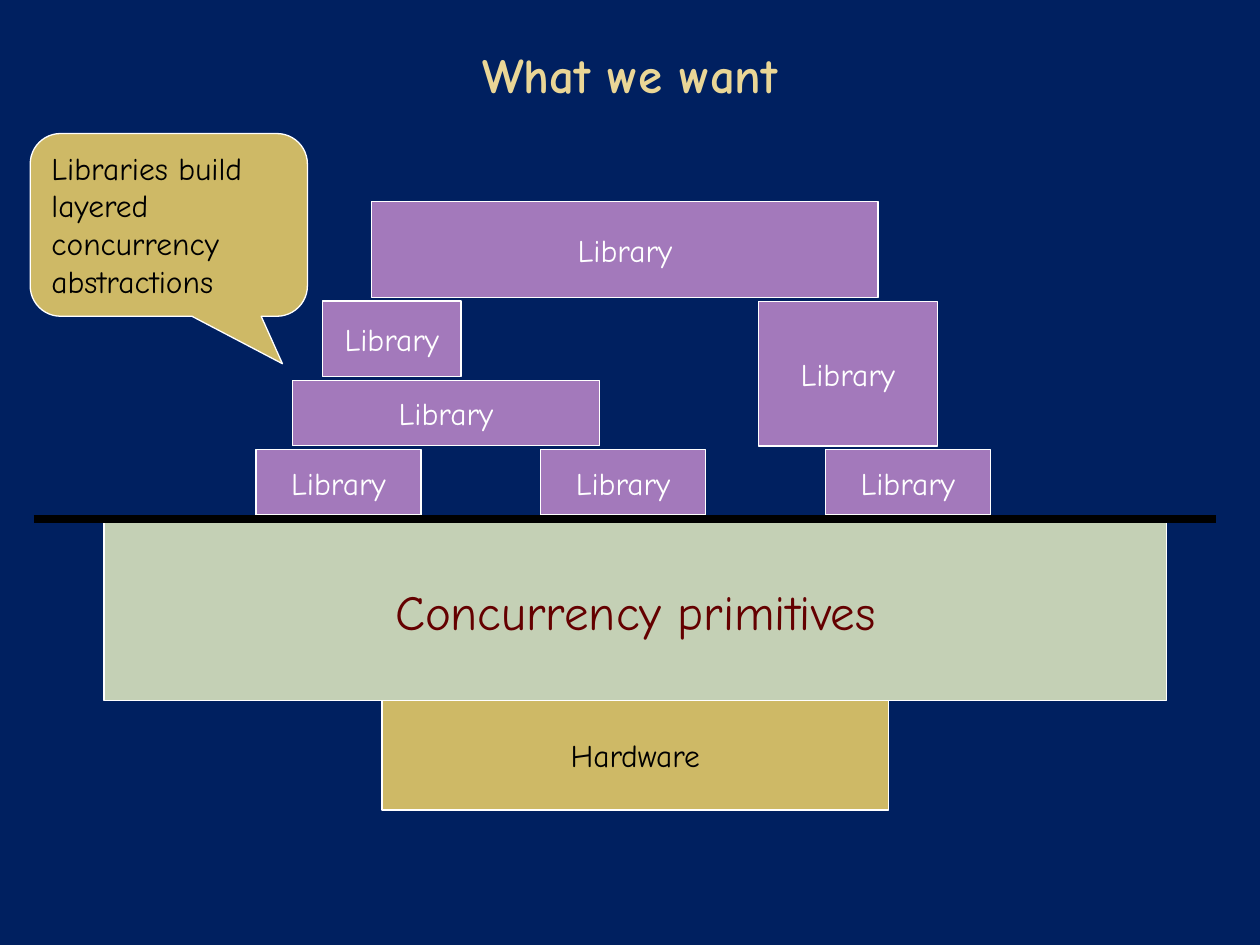
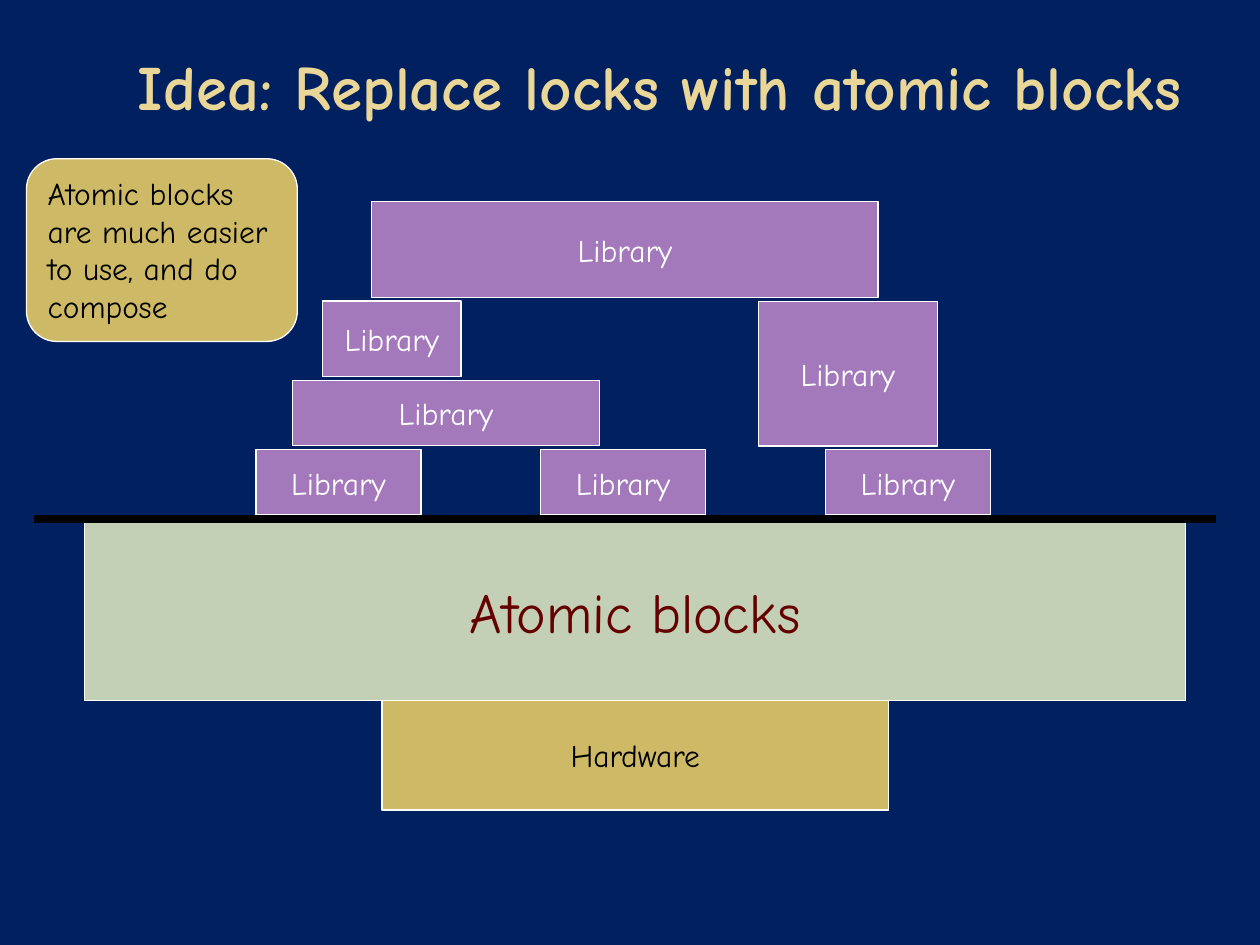
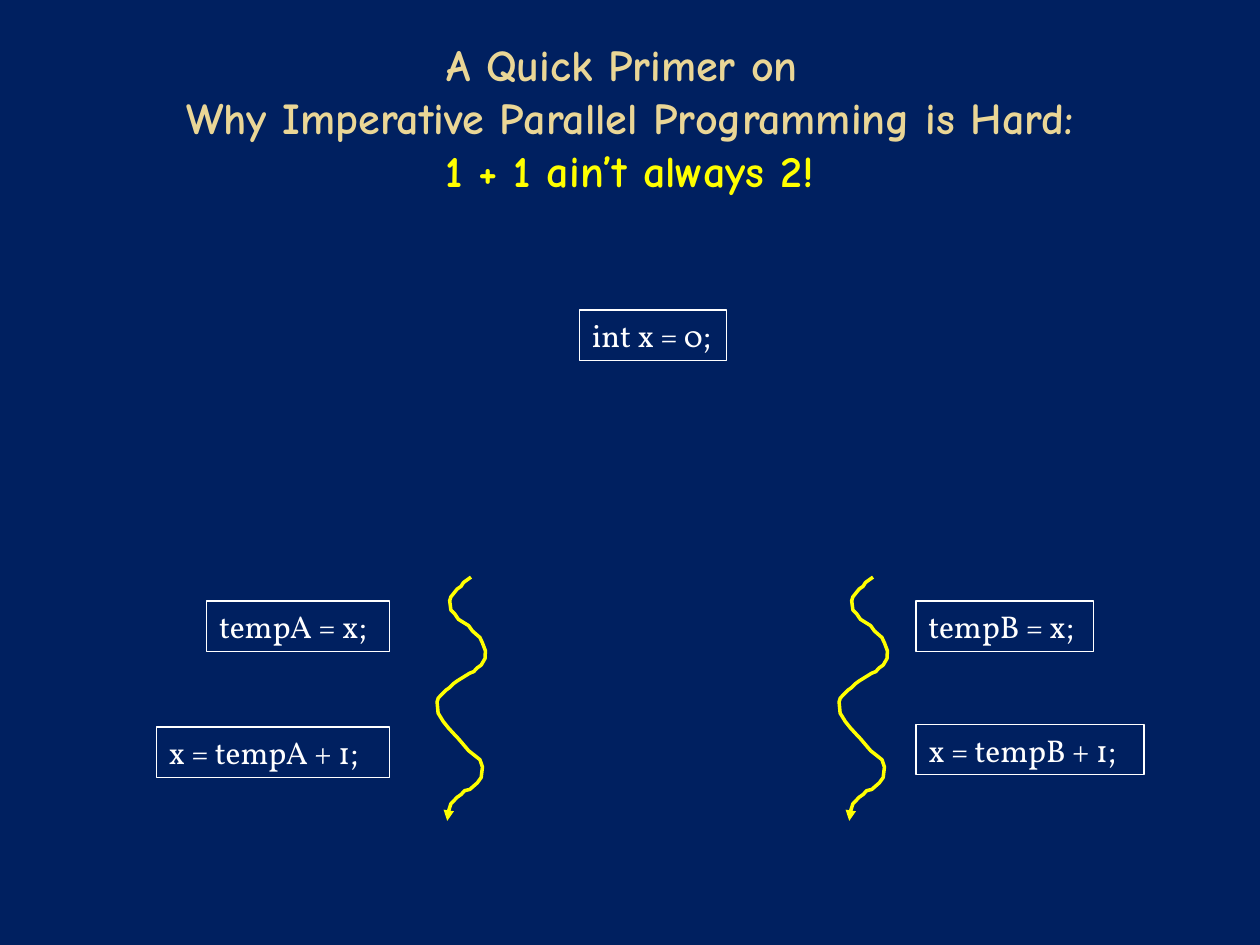
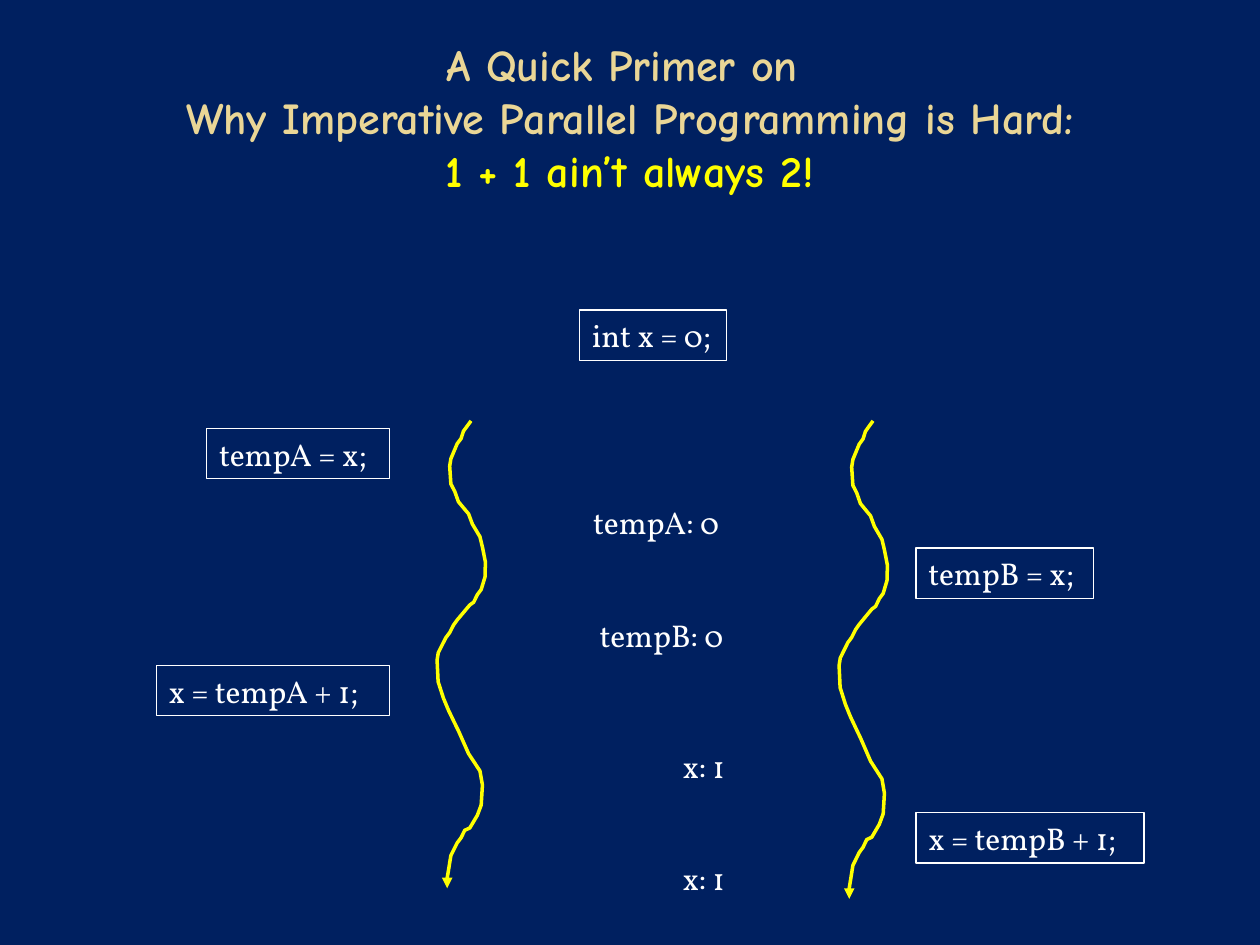
from lxml import etree
from pptx import Presentation
from pptx.dml.color import RGBColor
from pptx.enum.shapes import MSO_CONNECTOR, MSO_SHAPE
from pptx.enum.text import MSO_ANCHOR, PP_ALIGN
from pptx.oxml.ns import qn
from pptx.util import Pt

RECTANGLE = MSO_SHAPE.RECTANGLE
CALLOUT = MSO_SHAPE.ROUNDED_RECTANGULAR_CALLOUT
STRAIGHT = MSO_CONNECTOR.STRAIGHT
TOP, MIDDLE = MSO_ANCHOR.TOP, MSO_ANCHOR.MIDDLE
LEFT, CENTER = PP_ALIGN.LEFT, PP_ALIGN.CENTER

NAVY, CREAM, YELLOW = "002060", "EAD696", "FFFF00"
GOLD, SAGE, PURPLE, MAROON = "CEB966", "C4D0B5", "A379BB", "640000"
WHITE, BLACK = "FFFFFF", "000000"
DISPLAY_FONT, CODE_FONT = "Comic Neue", "Vollkorn"

# Boxes are (left, top, width, height) in points.
TITLE_BOX = (36, 21.6, 648, 90)

STACK_SLIDES = [
    {"title": "What we want", "title_box": TITLE_BOX, "title_size": 28,
     "base": "Concurrency primitives", "base_width": 607, "base_size": 28,
     "callout": "Libraries build layered concurrency abstractions",
     "callout_box": (17.3, 76.3, 158.4, 104.4), "tip": (0.41, 0.76)},
    {"title": "Idea: Replace locks with atomic blocks",
     "title_box": (45.4, 23.8, 663.1, 42.5), "title_size": 36,
     "base": "Atomic blocks", "base_width": 629.3, "base_size": 32,
     "callout": "Atomic blocks are much easier to use, and do compose",
     "callout_box": (15.1, 90.7, 154.8, 104.4), "tip": (0.25, 0.5)},
]
STACK_CENTER = 363
BASE_TOP, BASE_HEIGHT = 298.1, 102.2
HARDWARE_WIDTH, HARDWARE_HEIGHT = 289.4, 62.6
GROUND_LEFT, GROUND_RIGHT, GROUND_TOP = 19.4, 694.8, 296.6
LIBRARY_BOXES = [(146.2 + 162.7 * column, 257, 94.3, 37.4) for column in range(3)] + [
    (167, 217.4, 175.7, 37.4),
    (184.3, 172.1, 79.2, 43.2),
    (433.4, 172.1, 102.2, 82.8),
    (212.4, 115.2, 289.4, 54.7),
]

PRIMER_TITLE = [
    ("A Quick Primer on ", CREAM),
    ("Why Imperative Parallel Programming is Hard:", CREAM),
    ("1 + 1 ain’t always 2!", YELLOW),
]
# Statement: (left, width)
STATEMENTS = {
    "int x = 0;": (331.2, 84.2),
    "tempA = x;": (118.1, 104.4),
    "x = tempA + 1;": (89.3, 133.2),
    "tempB = x;": (523.4, 101.5),
    "x = tempB + 1;": (523.4, 130.3),
}
STATEMENT_HEIGHT = 28.8
THREAD_LEFTS = (249.8, 479.5)
PRIMER_SLIDES = [
    {"statement_tops": (177.1, 343.4, 415.4, 343.4, 414),
     "thread_top": 329.8, "thread_heights": (139.3, 139.3), "values": []},
    {"statement_tops": (177.1, 244.8, 380.2, 313.2, 464.4),
     "thread_top": 240.5, "thread_heights": (267.1, 273.2),
     "values": [("tempA: 0", 331.9, 283.7), ("tempB: 0", 335.5, 348.5),
                ("x: 1", 383, 423.4), ("x: 1", 383, 487.4)]},
]
# Wavy thread outline: (points from the left, percent of the height)
THREAD_WAVE = [
    (19.4, 0), (15.1, 2.2), (13.7, 3.8), (11.5, 4.9), (7.9, 8.1), (7.2, 9.7),
    (7.9, 13.5), (10.1, 15.1), (12.2, 17.3), (14.4, 18.3), (18, 19.9),
    (20.2, 22.1), (24.5, 24.8), (25.9, 27), (27.6, 30.2), (27.4, 33.4),
    (25.2, 36.1), (23, 37.2), (20.9, 38.8), (18.7, 39.4), (11.5, 42.6),
    (9.4, 43.7), (7.2, 45.3), (5, 46.4), (0.7, 49.6), (0, 51.2), (0.6, 55.8),
    (3.6, 59.3), (6.5, 61.9), (10.1, 64.7), (12.2, 66.3), (18, 71.2),
    (24.5, 74.9), (25.9, 77.9), (25.2, 82.2), (23, 84.4), (18.7, 87.1),
    (15.8, 87.6), (13.7, 89.2), (11.5, 90.3), (7.9, 93), (6.5, 96.2),
    (5.8, 97.8), (5.8, 100),
]


def color(value):
    return RGBColor.from_string(value)


def points(values):
    return [Pt(value) for value in values]


def write(shape, lines, size=18, font=DISPLAY_FONT, bold=False, align=CENTER,
          anchor=MIDDLE, right_inset=7.2):
    """Fill the shape with (text, colour) lines inside one paragraph."""
    frame = shape.text_frame
    frame.word_wrap = True
    frame.vertical_anchor = anchor
    frame.margin_right = Pt(right_inset)
    paragraph = frame.paragraphs[0]
    paragraph.alignment = align
    for index, (text, text_color) in enumerate(lines):
        if index:
            paragraph.add_line_break()
        run = paragraph.add_run()
        run.text = text
        run.font.name = font
        run.font.size = Pt(size)
        run.font.bold = bold
        run.font.color.rgb = color(text_color)
    # Line breaks take the size of the text around them
    for line_break in paragraph._p.findall(qn("a:br")):
        etree.SubElement(line_break, qn("a:rPr"), sz=str(round(size * 100)))


def add_box(slide, box, fill=None, kind=RECTANGLE):
    shape = slide.shapes.add_shape(kind, *points(box))
    shape.shadow.inherit = False
    if fill:
        shape.fill.solid()
        shape.fill.fore_color.rgb = color(fill)
    else:
        shape.fill.background()
    shape.line.color.rgb = color(WHITE)
    shape.line.width = Pt(0.75)
    return shape


def add_centered_box(slide, top, width, height, fill):
    return add_box(slide, (STACK_CENTER - width / 2, top, width, height), fill)


def add_slide(presentation, title_lines, title_box, size, anchor):
    slide = presentation.slides.add_slide(presentation.slide_layouts[6])
    slide.background.fill.solid()
    slide.background.fill.fore_color.rgb = color(NAVY)
    title = slide.shapes.add_textbox(*points(title_box))
    write(title, title_lines, size=size, bold=True, anchor=anchor)
    return slide


def add_ground_line(slide):
    line = slide.shapes.add_connector(
        STRAIGHT, *points((GROUND_LEFT, GROUND_TOP, GROUND_RIGHT, GROUND_TOP)))
    line.line.color.rgb = color(BLACK)
    line.line.width = Pt(4.5)
    etree.SubElement(line._element.spPr, qn("a:effectLst"))


def add_thread(slide, left, top, height):
    outline = [points((left + x, top + height * percent / 100))
               for x, percent in THREAD_WAVE]
    builder = slide.shapes.build_freeform(*outline[0])
    builder.add_line_segments(outline[1:], close=False)
    thread = builder.convert_to_shape()
    thread.shadow.inherit = False
    thread.fill.background()
    thread.line.color.rgb = color(YELLOW)
    thread.line.width = Pt(2)
    line_xml = thread.line._get_or_add_ln()
    etree.SubElement(line_xml, qn("a:round"))
    etree.SubElement(line_xml, qn("a:tailEnd"), type="triangle")


def add_stack_slide(presentation, content):
    slide = add_slide(presentation, [(content["title"], CREAM)],
                      content["title_box"], content["title_size"], TOP)
    hardware = add_centered_box(slide, BASE_TOP + BASE_HEIGHT, HARDWARE_WIDTH,
                                HARDWARE_HEIGHT, GOLD)
    write(hardware, [("Hardware", BLACK)])
    base = add_centered_box(slide, BASE_TOP, content["base_width"], BASE_HEIGHT, SAGE)
    write(base, [(content["base"], MAROON)], size=content["base_size"])
    for box in LIBRARY_BOXES:
        write(add_box(slide, box, PURPLE), [("Library", WHITE)])
    add_ground_line(slide)
    callout = add_box(slide, content["callout_box"], GOLD, CALLOUT)
    callout.adjustments[0], callout.adjustments[1] = content["tip"]
    write(callout, [(content["callout"], BLACK)], align=LEFT, anchor=TOP)


def add_primer_slide(presentation, content):
    slide = add_slide(presentation, PRIMER_TITLE, TITLE_BOX, 25.2, MIDDLE)
    code_format = {"font": CODE_FONT, "align": LEFT, "anchor": TOP, "right_inset": 0}
    for (text, (left, width)), top in zip(STATEMENTS.items(), content["statement_tops"]):
        statement = add_box(slide, (left, top, width, STATEMENT_HEIGHT))
        write(statement, [(text, WHITE)], **code_format)
    for left, height in zip(THREAD_LEFTS, content["thread_heights"]):
        add_thread(slide, left, content["thread_top"], height)
    for text, left, top in content["values"]:
        width = 425 - left
        label = slide.shapes.add_textbox(*points((left, top, width, STATEMENT_HEIGHT)))
        write(label, [(text, WHITE)], **code_format)


def main():
    presentation = Presentation()
    presentation.slide_width, presentation.slide_height = Pt(720), Pt(540)
    for content in STACK_SLIDES:
        add_stack_slide(presentation, content)
    for content in PRIMER_SLIDES:
        add_primer_slide(presentation, content)
    presentation.save("out.pptx")


if __name__ == "__main__":
    main()
